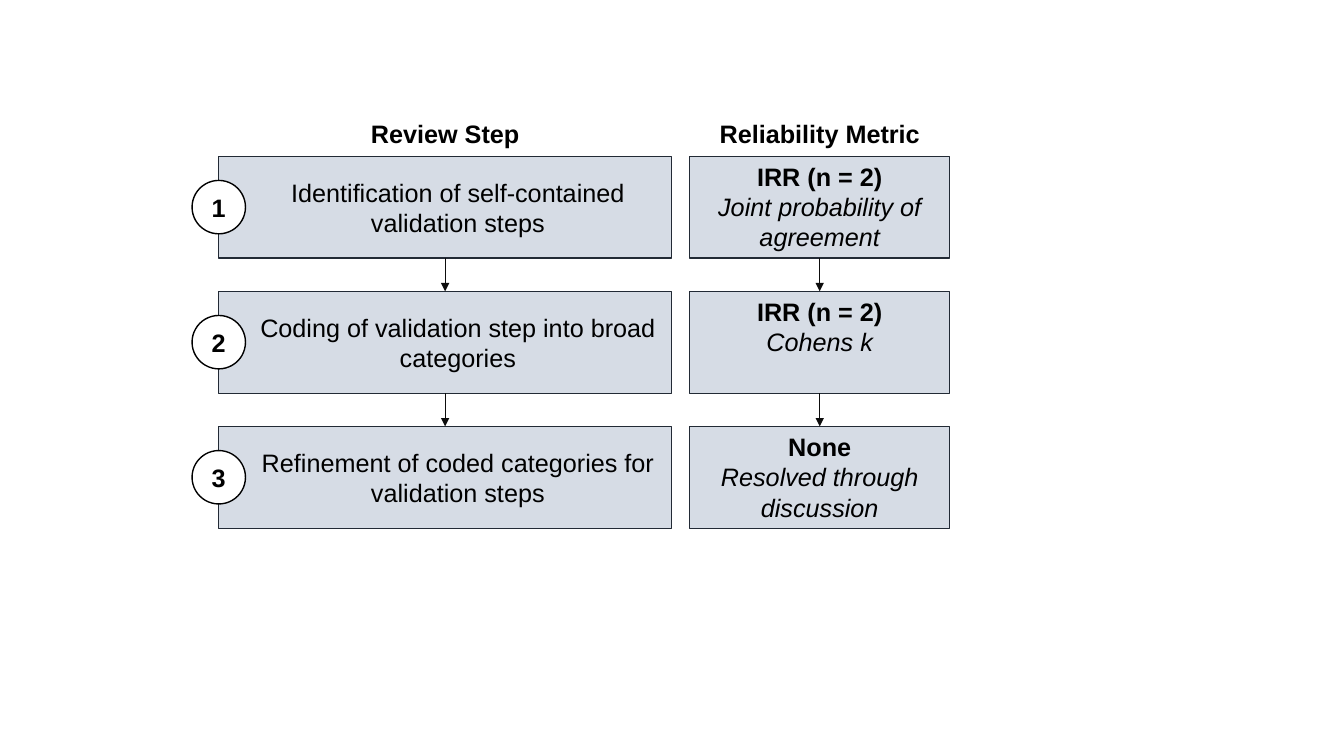
"""Build a slide of three review steps beside their reliability metrics."""
from lxml.etree import SubElement
from pptx import Presentation
from pptx.dml.color import RGBColor as RGB
from pptx.enum.shapes import MSO_CONNECTOR as LINE, MSO_SHAPE as SHAPE
from pptx.enum.text import MSO_ANCHOR as ANCHOR, PP_ALIGN as ALIGN
from pptx.oxml.ns import qn
from pptx.util import Inches, Pt

COLOURS = {"box": "D6DCE5", "edge": "222A35", "arrow": "0D0D0D",
           "badge": "FFFFFF", "ink": "000000"}
TOP, PITCH, BOX_HEIGHT = 1.55, 1.34, 1.01
HEADER_TOP, HEADER_HEIGHT = 1.12, 0.4
BADGE = 0.53
BOTTOM_SITE, TOP_SITE = 2, 0

columns = [
    {"heading": "Review Step", "heading_width": 1.98, "left": 2.17, "width": 4.49,
     "inset": 0.35, "anchor": ANCHOR.MIDDLE,
     "rows": [["Identification of self-contained validation steps"],
              ["Coding of validation step into broad categories"],
              ["Refinement of coded categories for validation steps"]]},
    {"heading": "Reliability Metric", "heading_width": 2.28, "left": 6.84, "width": 2.58,
     "inset": 0.1, "anchor": ANCHOR.TOP,
     "rows": [["IRR (n = 2)", "Joint probability of agreement"],
              ["IRR (n = 2)", "Cohens k"],
              ["None", "Resolved through discussion"]]},
]


def write(shape, lines, styles, anchor=ANCHOR.MIDDLE, inset=0.1):
    """Put centred lines into a shape, each with its own (bold, italic) style."""
    frame = shape.text_frame
    frame.word_wrap = True
    frame.vertical_anchor = anchor
    frame.margin_left = Inches(inset)
    paragraph = frame.paragraphs[0]
    paragraph.alignment = ALIGN.CENTER
    for number, (line, (bold, italic)) in enumerate(zip(lines, styles)):
        if number:
            paragraph.add_line_break()
        run = paragraph.add_run()
        run.text = line
        run.font.name, run.font.size = "Arial", Pt(18)
        run.font.bold, run.font.italic = bold, italic
        run.font.color.rgb = RGB.from_string(COLOURS["ink"])


def add_outlined(kind, left, top, width, height, fill, edge, weight):
    """Add a filled shape with an outline and no shadow."""
    shape = slide.shapes.add_shape(
        kind, Inches(left), Inches(top), Inches(width), Inches(height))
    shape.shadow.inherit = False
    shape.fill.solid()
    shape.fill.fore_color.rgb = RGB.from_string(COLOURS[fill])
    shape.line.color.rgb = RGB.from_string(COLOURS[edge])
    shape.line.width = Pt(weight)
    return shape


deck = Presentation()
deck.slide_width, deck.slide_height = Inches(13.33), Inches(7.5)
slide = deck.slides.add_slide(deck.slide_layouts[6])

for column in columns:
    middle = column["left"] + column["width"] / 2
    heading = slide.shapes.add_textbox(
        Inches(middle - column["heading_width"] / 2), Inches(HEADER_TOP),
        Inches(column["heading_width"]), Inches(HEADER_HEIGHT))
    write(heading, [column["heading"]], [(True, False)], ANCHOR.TOP)

    boxes = []
    for row, lines in enumerate(column["rows"]):
        box = add_outlined(SHAPE.RECTANGLE, column["left"], TOP + row * PITCH,
                           column["width"], BOX_HEIGHT, "box", "edge", 0.75)
        styles = [(True, False), (False, True)] if len(lines) > 1 else [(False, False)]
        write(box, lines, styles, column["anchor"], column["inset"])
        boxes.append(box)

    for upper, lower in zip(boxes, boxes[1:]):
        arrow = slide.shapes.add_connector(LINE.STRAIGHT, 0, 0, 0, 0)
        arrow.begin_connect(upper, BOTTOM_SITE)
        arrow.end_connect(lower, TOP_SITE)
        arrow.line.color.rgb = RGB.from_string(COLOURS["arrow"])
        arrow.line.width = Pt(0.5)
        SubElement(arrow.line._get_or_add_ln(), qn("a:tailEnd"), type="triangle")
        SubElement(arrow._element.spPr, qn("a:effectLst"))

steps = columns[0]
for row in range(len(steps["rows"])):
    badge = add_outlined(SHAPE.OVAL, steps["left"] - BADGE / 2,
                         TOP + row * PITCH + (BOX_HEIGHT - BADGE) / 2,
                         BADGE, BADGE, "badge", "ink", 1)
    write(badge, [str(row + 1)], [(True, False)])

deck.save("out.pptx")
